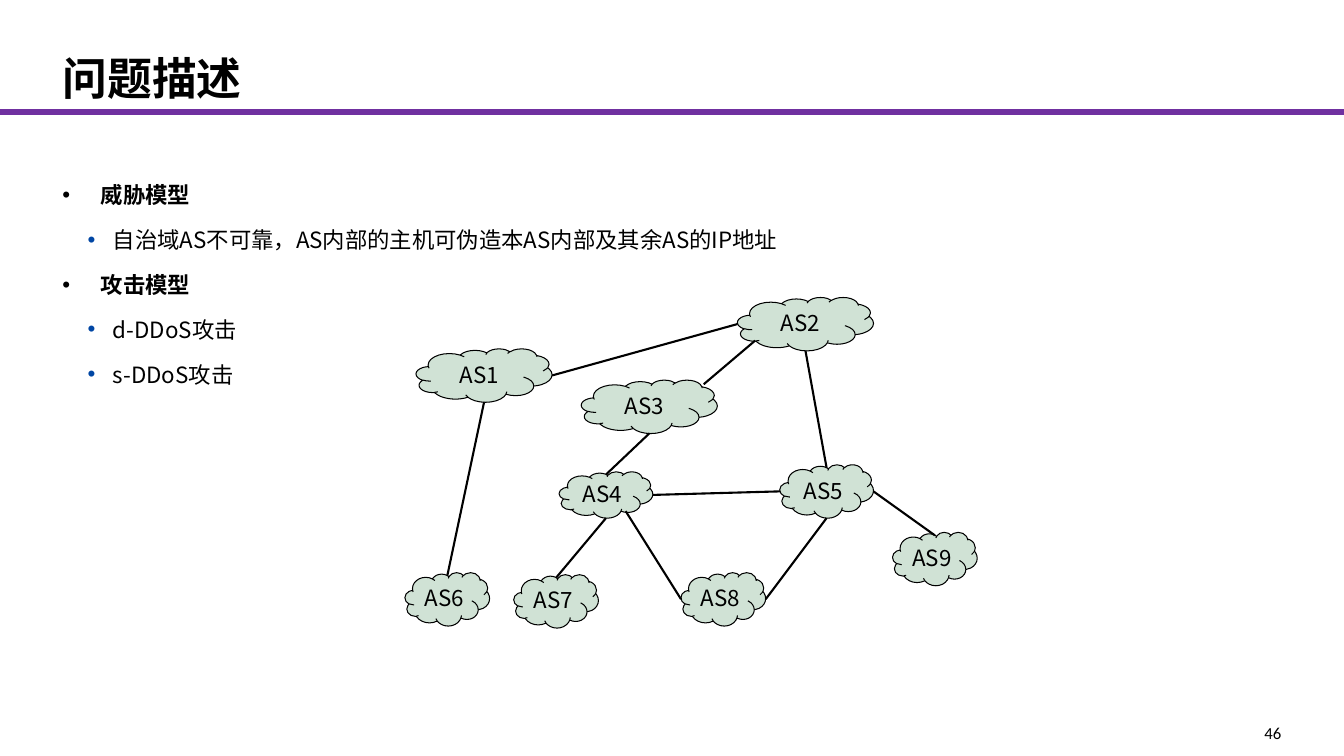
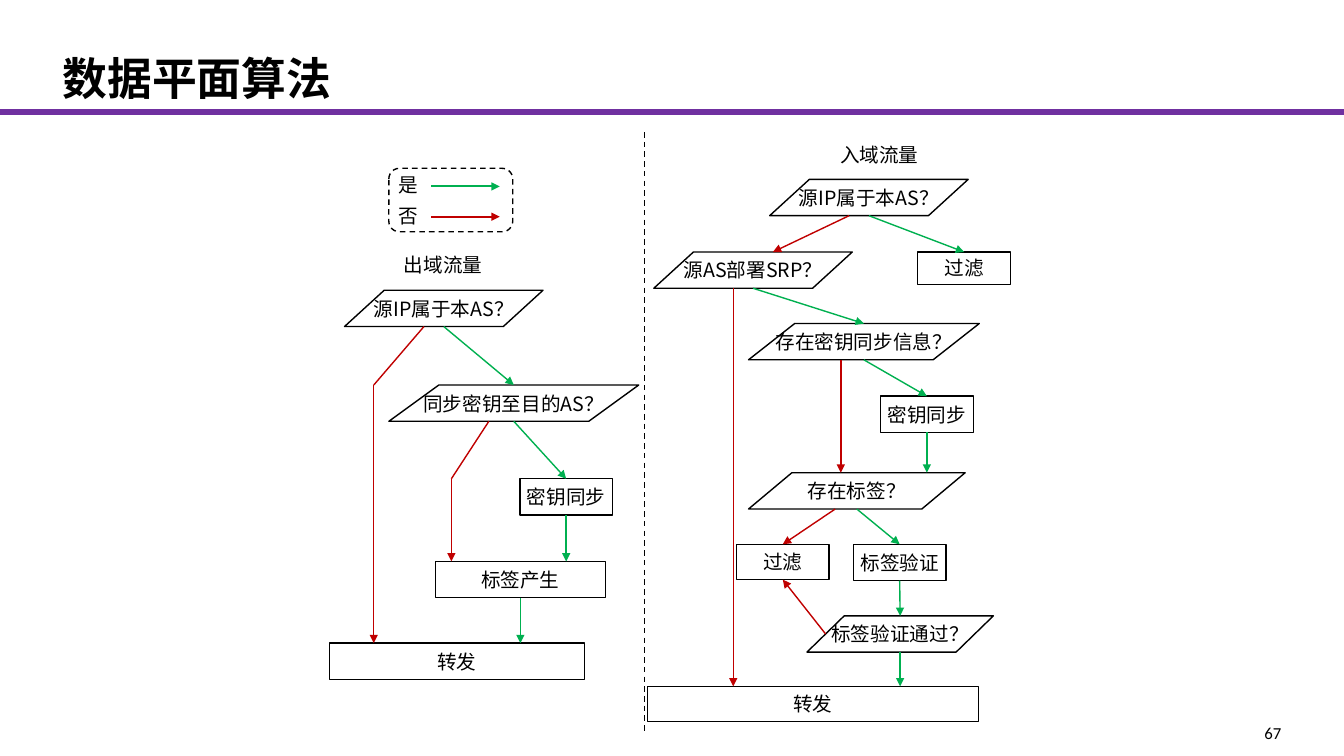
from lxml import etree
from pptx import Presentation
from pptx.dml.color import RGBColor
from pptx.enum import dml, shapes, text
from pptx.oxml.ns import qn
from pptx.util import Inches, Pt

BLACK = RGBColor(0x00, 0x00, 0x00)
WHITE = RGBColor(0xFF, 0xFF, 0xFF)
PURPLE = RGBColor(0x70, 0x30, 0xA0)
CLOUD_GREEN = RGBColor(0xD0, 0xE2, 0xD5)
YES = RGBColor(0x00, 0xB0, 0x50)
NO = RGBColor(0xC0, 0x00, 0x00)
BULLET_BLUE = "0046A4"

FONT = "Noto Sans CJK SC"
NUMBER_FONT = "Calibri"
SLIDE_WIDTH, SLIDE_HEIGHT = 13.34, 7.5
CLOUD = shapes.MSO_SHAPE.CLOUD
STEP = shapes.MSO_SHAPE.FLOWCHART_PROCESS
TEST = shapes.MSO_SHAPE.FLOWCHART_DATA

# Anchor points as fractions of a shape's width and height
TOP, LEFT, BOTTOM, RIGHT = (0.5, 0), (0, 0.5), (0.5, 1), (1, 0.5)
SITES = [TOP, LEFT, BOTTOM, RIGHT]
CROWN = (0.5, 0.06)
NO_EXIT, NO_SIDE = (0.4, 1), (0.1, 0.5)
DROP = "straight down"

# (level, text)
THREAT_POINTS = [
    (0, "威胁模型"),
    (1, "自治域AS不可靠，AS内部的主机可伪造本AS内部及其余AS的IP地址"),
    (0, "攻击模型"),
    (1, "d-DDoS攻击"),
    (1, "s-DDoS攻击"),
]
# level: (indent in inches, bullet colour, bold)
LEVELS = {0: (0.38, 0.38, "000000", True), 1: (0.5, 0.25, BULLET_BLUE, False)}

# name: left, top, width, height
CLOUDS = {
    "AS1": (4.13, 3.46, 1.35, 0.53),
    "AS2": (7.32, 2.95, 1.35, 0.53),
    "AS3": (5.77, 3.77, 1.35, 0.53),
    "AS4": (5.55, 4.68, 0.93, 0.46),
    "AS5": (7.74, 4.61, 0.93, 0.53),
    "AS6": (4.02, 5.68, 0.84, 0.53),
    "AS7": (5.1, 5.7, 0.84, 0.53),
    "AS8": (6.76, 5.68, 0.84, 0.53),
    "AS9": (8.86, 5.28, 0.84, 0.53),
}
CLOUD_LINKS = [
    ("AS1", BOTTOM, "AS6", CROWN),
    ("AS1", RIGHT, "AS2", LEFT),
    ("AS4", BOTTOM, "AS7", CROWN),
    ("AS4", (0.71, 0.85), "AS8", LEFT),
    ("AS3", BOTTOM, "AS4", CROWN),
    ("AS5", LEFT, "AS4", RIGHT),
    ("AS2", BOTTOM, "AS5", CROWN),
    ("AS8", RIGHT, "AS5", BOTTOM),
    ("AS9", CROWN, "AS5", RIGHT),
    ("AS3", (0.9, 0.08), "AS2", (0.13, 0.81)),
]

# name: kind, label, left, top, width, height
FLOW_NODES = {
    "out own": (TEST, "源IP属于本AS？", 3.42, 2.88, 1.97, 0.36),
    "out key": (TEST, "同步密钥至目的AS？", 3.86, 3.82, 2.48, 0.36),
    "out sync": (STEP, "密钥同步", 5.16, 4.75, 0.92, 0.36),
    "out tag": (STEP, "标签产生", 4.32, 5.57, 1.69, 0.36),
    "out forward": (STEP, "转发", 3.27, 6.38, 2.53, 0.36),
    "in own": (TEST, "源IP属于本AS？", 7.64, 1.78, 1.97, 0.36),
    "in drop own": (STEP, "过滤", 9.11, 2.5, 0.92, 0.32),
    "in deployed": (TEST, "源AS部署SRP？", 6.49, 2.5, 1.97, 0.36),
    "in key": (TEST, "存在密钥同步信息？", 7.43, 3.21, 2.29, 0.36),
    "in sync": (STEP, "密钥同步", 8.74, 3.93, 0.92, 0.36),
    "in tag": (TEST, "存在标签？", 7.43, 4.69, 2.15, 0.36),
    "in drop tag": (STEP, "过滤", 7.31, 5.4, 0.92, 0.35),
    "in verify": (STEP, "标签验证", 8.47, 5.4, 0.92, 0.36),
    "in passed": (TEST, "标签验证通过？", 8.01, 6.11, 1.85, 0.36),
    "in forward": (STEP, "转发", 6.43, 6.81, 3.28, 0.35),
}
FLOW_LINKS = [
    ("out own", BOTTOM, "out key", TOP, YES),
    ("out key", BOTTOM, "out sync", TOP, YES),
    ("out sync", BOTTOM, "out tag", DROP, YES),
    ("out tag", BOTTOM, "out forward", DROP, YES),
    ("in own", BOTTOM, "in drop own", TOP, YES),
    ("in own", NO_EXIT, "in deployed", (0.6, 0), NO),
    ("in deployed", BOTTOM, "in key", TOP, YES),
    ("in deployed", NO_EXIT, "in forward", DROP, NO),
    ("in key", BOTTOM, "in sync", TOP, YES),
    ("in key", NO_EXIT, "in tag", DROP, NO),
    ("in sync", BOTTOM, "in tag", DROP, YES),
    ("in tag", BOTTOM, "in verify", TOP, YES),
    ("in tag", NO_EXIT, "in drop tag", TOP, NO),
    ("in verify", BOTTOM, "in passed", TOP, YES),
    ("in passed", NO_SIDE, "in drop tag", BOTTOM, NO),
    ("in passed", BOTTOM, "in forward", DROP, YES),
]
# start, bend in inches, end
BENT_NO_LINKS = [
    ("out own", (3.71, 3.82), "out forward"),
    ("out key", (4.48, 4.75), "out tag"),
]
FLOW_CAPTIONS = [("出域流量", 3.91, 2.46), ("入域流量", 8.24, 1.37)]
LEGEND = [("是", YES), ("否", NO)]


def add_run(paragraph, words, size, bold=False, font=FONT):
    run = paragraph.add_run()
    run.text = words
    run.font.size, run.font.bold, run.font.name = Pt(size), bold, font
    run.font.color.rgb = BLACK
    east_asian = etree.SubElement(run._r.get_or_add_rPr(), qn("a:ea"))
    east_asian.set("typeface", font)


def add_text(slide, box, words="", size=14, margins=(0.1, 0.05), wrap=False, **style):
    """Add a text box and return its frame; words fill the first paragraph."""
    frame = slide.shapes.add_textbox(*map(Inches, box)).text_frame
    frame.word_wrap = wrap
    frame.margin_left = frame.margin_right = Inches(margins[0])
    frame.margin_top = frame.margin_bottom = Inches(margins[1])
    if words:
        add_run(frame.paragraphs[0], words, size, **style)
    return frame


def add_node(slide, kind, box, label="", size=14, fill=WHITE, line_width=1):
    shape = slide.shapes.add_shape(kind, *map(Inches, box))
    shape.shadow.inherit = False
    shape.fill.solid()
    shape.fill.fore_color.rgb = fill
    shape.line.color.rgb = BLACK
    shape.line.width = Pt(line_width)
    if label:
        frame = shape.text_frame
        frame.word_wrap = False
        frame.vertical_anchor = text.MSO_ANCHOR.MIDDLE
        frame.margin_left = frame.margin_right = 0
        frame.margin_top = frame.margin_bottom = 0
        frame.paragraphs[0].alignment = text.PP_ALIGN.CENTER
        add_run(frame.paragraphs[0], label, size)
    return shape


def add_line(slide, start, end, color=BLACK, width=1.0, arrow=False, dashed=False):
    """Add a straight connector between two points given in EMU."""
    line = slide.shapes.add_connector(shapes.MSO_CONNECTOR.STRAIGHT, *start, *end)
    line.line.color.rgb = color
    line.line.width = Pt(width)
    if dashed:
        line.line.dash_style = dml.MSO_LINE.DASH
    if arrow:
        etree.SubElement(line.line._get_or_add_ln(), qn("a:tailEnd")).set("type", "triangle")
    etree.SubElement(line._element.spPr, qn("a:effectLst"))
    return line


def inches(x, y):
    return Inches(x), Inches(y)


def anchor(shape, site):
    return (int(shape.left + site[0] * shape.width),
            int(shape.top + site[1] * shape.height))


def is_joinable(shape, site):
    return shape.auto_shape_type == STEP and site in SITES


def add_link(slide, source, exit_site, target, entry_site, **style):
    """Link two shapes, joining the ends at the middle of a rectangle's side."""
    start = anchor(source, exit_site)
    end = (start[0], target.top) if entry_site == DROP else anchor(target, entry_site)
    line = add_line(slide, start, end, **style)
    if is_joinable(source, exit_site):
        line.begin_connect(source, SITES.index(exit_site))
    if is_joinable(target, entry_site):
        line.end_connect(target, SITES.index(entry_site))


def add_base_slide(presentation, title, number):
    slide = presentation.slides.add_slide(presentation.slide_layouts[6])
    add_line(slide, inches(0, 1.11), inches(SLIDE_WIDTH, 1.11), PURPLE, 4.25)
    frame = add_text(slide, (0.62, 0.18, 12.11, 0.91), title, 32, (0, 0.05), True, bold=True)
    frame.vertical_anchor = text.MSO_ANCHOR.BOTTOM
    frame = add_text(slide, (12.46, 7.17, 0.26, 0.15), number, 12, (0, 0), font=NUMBER_FONT)
    frame.paragraphs[0].alignment = text.PP_ALIGN.RIGHT
    return slide


def add_bullets(slide, box, points):
    frame = add_text(slide, box, margins=(0, 0), wrap=True)
    for index, (level, words) in enumerate(points):
        paragraph = frame.add_paragraph() if index else frame.paragraphs[0]
        indent, hanging, color, bold = LEVELS[level]
        paragraph.level = level
        paragraph.line_spacing = Pt(30)
        paragraph.space_before = Pt(2 if index else 0)
        properties = paragraph._p.get_or_add_pPr()
        properties.set("marL", str(Inches(indent)))
        properties.set("indent", str(-Inches(hanging)))
        bullet_color = etree.SubElement(properties, qn("a:buClr"))
        etree.SubElement(bullet_color, qn("a:srgbClr")).set("val", color)
        etree.SubElement(properties, qn("a:buFont")).set("typeface", "Arial")
        etree.SubElement(properties, qn("a:buChar")).set("char", "•")
        add_run(paragraph, words, 16, bold)


def build_problem_slide(presentation):
    slide = add_base_slide(presentation, "问题描述", "46")
    add_bullets(slide, (0.62, 1.65, 12.11, 5.02), THREAT_POINTS)
    clouds = {name: add_node(slide, CLOUD, box, name, 16, CLOUD_GREEN, 0.75)
              for name, box in CLOUDS.items()}
    for source, exit_site, target, entry_site in CLOUD_LINKS:
        add_link(slide, clouds[source], exit_site, clouds[target], entry_site, width=1.5)


def add_legend(slide, left, top):
    frame = add_node(slide, shapes.MSO_SHAPE.ROUNDED_RECTANGLE, (left, top, 1.23, 0.63))
    frame.line.dash_style = dml.MSO_LINE.DASH
    for row, (label, color) in enumerate(LEGEND):
        y = top + 0.3 * row
        add_text(slide, (left, y, 0.4, 0.34), label)
        add_line(slide, inches(left + 0.42, y + 0.18), inches(left + 1.1, y + 0.18),
                 color, 1.5, arrow=True)


def build_algorithm_slide(presentation):
    slide = add_base_slide(presentation, "数据平面算法", "67")
    add_legend(slide, 3.86, 1.67)
    for caption, left, top in FLOW_CAPTIONS:
        add_text(slide, (left, top, 0.99, 0.34), caption)
    nodes = {name: add_node(slide, kind, box, label)
             for name, (kind, label, *box) in FLOW_NODES.items()}
    for source, exit_site, target, entry_site, color in FLOW_LINKS:
        add_link(slide, nodes[source], exit_site, nodes[target], entry_site,
                 color=color, arrow=True)
    for source, bend, target in BENT_NO_LINKS:
        corner = inches(*bend)
        add_line(slide, anchor(nodes[source], NO_EXIT), corner, NO)
        add_line(slide, corner, (corner[0], nodes[target].top), NO, arrow=True)
    add_line(slide, inches(6.4, 1.31), inches(6.4, 7.27), dashed=True)


def main():
    presentation = Presentation()
    presentation.slide_width = Inches(SLIDE_WIDTH)
    presentation.slide_height = Inches(SLIDE_HEIGHT)
    build_problem_slide(presentation)
    build_algorithm_slide(presentation)
    presentation.save("out.pptx")


if __name__ == "__main__":
    main()
